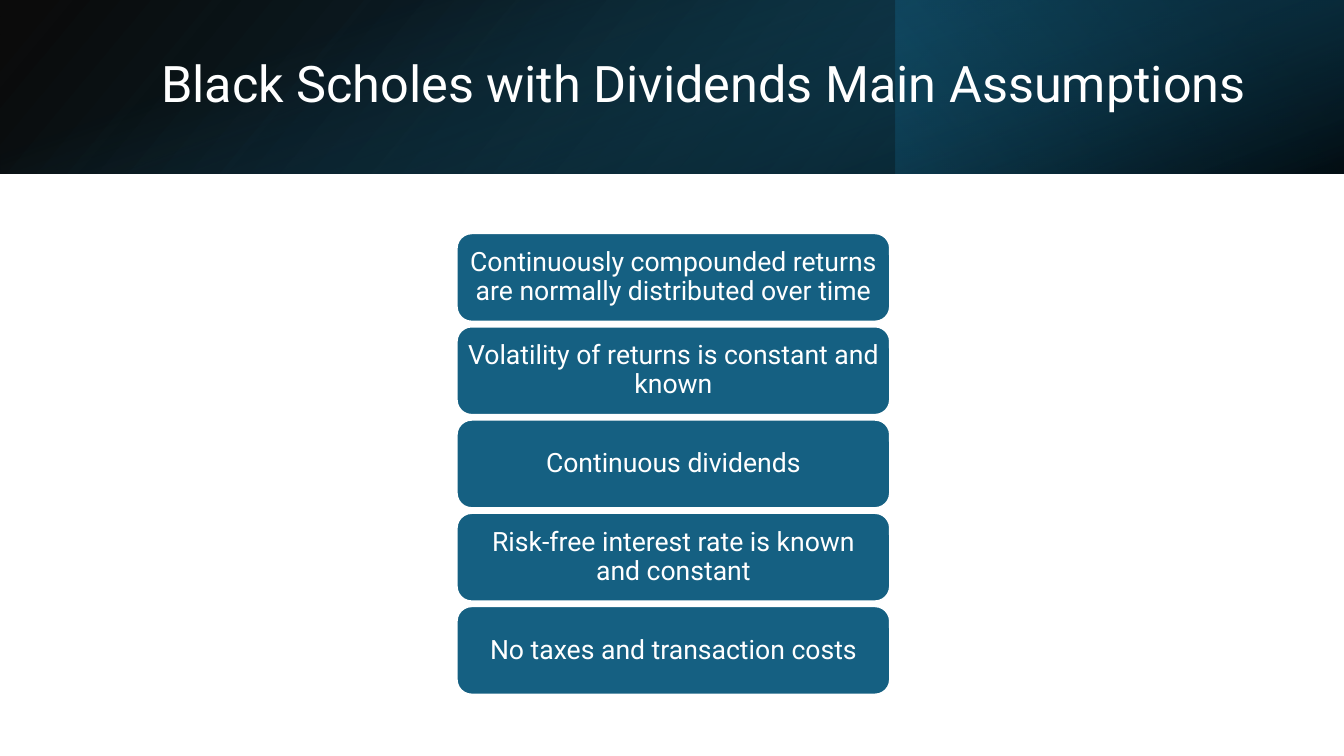
from lxml import etree
from pptx import Presentation
from pptx.dml.color import RGBColor
from pptx.enum.shapes import MSO_SHAPE
from pptx.enum.text import MSO_ANCHOR, PP_ALIGN
from pptx.oxml import parse_xml
from pptx.oxml.ns import nsdecls, qn
from pptx.util import Pt

WHITE = RGBColor(0xFF, 0xFF, 0xFF)
BLACK = RGBColor(0x00, 0x00, 0x00)
TEAL = RGBColor(0x15, 0x60, 0x82)
DEEP_TEAL = RGBColor(0x10, 0x48, 0x62)
DARK_TEAL = RGBColor(0x0B, 0x30, 0x41)
FONT = "Roboto"
SLIDE_WIDTH, SLIDE_HEIGHT, BAND_HEIGHT = 960, 540, 124

presentation = Presentation()
presentation.slide_width = Pt(SLIDE_WIDTH)
presentation.slide_height = Pt(SLIDE_HEIGHT)
slide = presentation.slides.add_slide(presentation.slide_layouts[5])


def add_gradient_layer(left, top, width, height, rotation, angle, stops):
    """Add a borderless rectangle; each stop is (position, colour, opacity) in percent."""
    shape = slide.shapes.add_shape(
        MSO_SHAPE.RECTANGLE, Pt(left), Pt(top), Pt(width), Pt(height))
    shape.rotation = rotation
    shape.shadow.inherit = False
    shape.line.fill.background()
    gradient = parse_xml(f'<a:gradFill {nsdecls("a")} rotWithShape="1"><a:gsLst/></a:gradFill>')
    for position, colour, opacity in stops:
        stop = etree.SubElement(gradient[0], qn("a:gs"), pos=str(position * 1000))
        colour_element = etree.SubElement(stop, qn("a:srgbClr"), val=str(colour))
        etree.SubElement(colour_element, qn("a:alpha"), val=str(opacity * 1000))
    etree.SubElement(gradient, qn("a:lin"), ang=str(angle * 60000), scaled="0")
    shape._element.spPr.find(qn("a:prstGeom")).addnext(gradient)
    return shape


# Header band: three overlaid gradients
base_layer = add_gradient_layer(0, 0, SLIDE_WIDTH, BAND_HEIGHT, 0, 140,
                                [(0, BLACK, 96), (100, DEEP_TEAL, 100)])
base_layer._element.spPr.find(qn("a:xfrm")).set("flipH", "1")
add_gradient_layer(640, 0, 320, BAND_HEIGHT, 180, 320,
                   [(19, DARK_TEAL, 68), (100, TEAL, 79)])
add_gradient_layer((SLIDE_WIDTH - BAND_HEIGHT) / 2, (BAND_HEIGHT - SLIDE_WIDTH) / 2,
                   BAND_HEIGHT, SLIDE_WIDTH, 90, 340,
                   [(23, TEAL, 0), (99, BLACK, 74)])

# Title, brought in front of the band
title = slide.shapes.title
slide.shapes._spTree.append(title._element)
title.left, title.top, title.width, title.height = Pt(108), Pt(27.4), Pt(790.6), Pt(69)
title.text_frame.text = "Black Scholes with Dividends Main Assumptions"
title.text_frame.vertical_anchor = MSO_ANCHOR.MIDDLE
paragraph = title.text_frame.paragraphs[0]
paragraph.alignment = PP_ALIGN.LEFT
paragraph.line_spacing = 0.9
paragraph.font.name = FONT
paragraph.font.size = Pt(36)
paragraph.font.color.rgb = WHITE

# Stack of assumption boxes
ASSUMPTIONS = [
    "Continuously compounded returns are normally distributed over time",
    "Volatility of returns is constant and known",
    "Continuous dividends",
    "Risk-free interest rate is known and constant",
    "No taxes and transaction costs",
]
BOX_LEFT, BOX_TOP, BOX_WIDTH, BOX_HEIGHT, BOX_PITCH = 326.2, 166.6, 309.6, 63.2, 66.6

for index, assumption in enumerate(ASSUMPTIONS):
    box = slide.shapes.add_shape(
        MSO_SHAPE.ROUNDED_RECTANGLE, Pt(BOX_LEFT), Pt(BOX_TOP + index * BOX_PITCH),
        Pt(BOX_WIDTH), Pt(BOX_HEIGHT))
    box.adjustments[0] = 0.17
    box.shadow.inherit = False
    box.fill.solid()
    box.fill.fore_color.rgb = TEAL
    box.line.color.rgb = WHITE
    box.line.width = Pt(1.5)
    text_frame = box.text_frame
    text_frame.word_wrap = True
    text_frame.vertical_anchor = MSO_ANCHOR.MIDDLE
    text_frame.margin_left = text_frame.margin_right = Pt(5)
    text_frame.margin_top = text_frame.margin_bottom = Pt(3)
    text_frame.text = assumption
    paragraph = text_frame.paragraphs[0]
    paragraph.alignment = PP_ALIGN.CENTER
    paragraph.line_spacing = 0.9
    paragraph.font.name = FONT
    paragraph.font.size = Pt(19)
    paragraph.font.color.rgb = WHITE

presentation.save("out.pptx")
